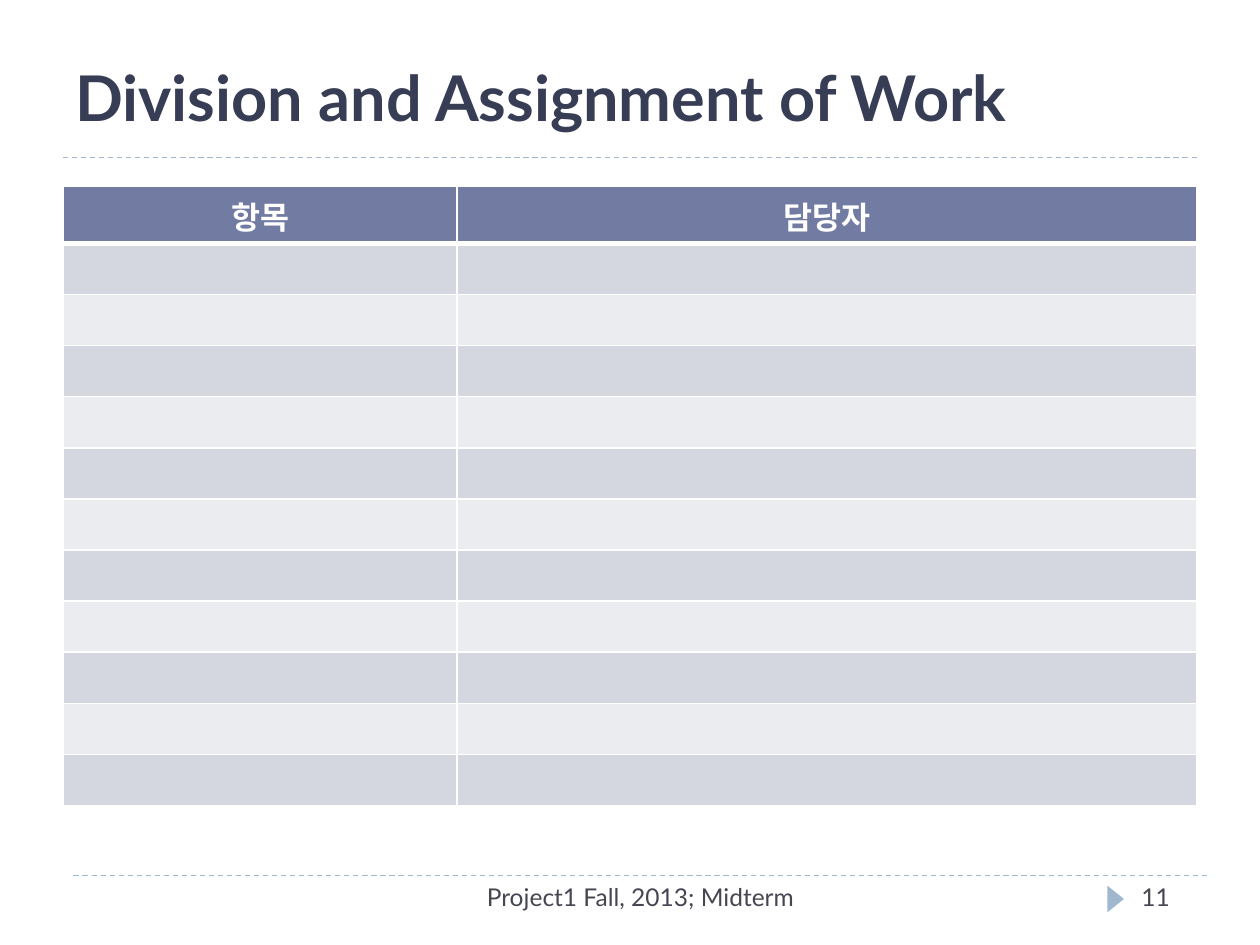
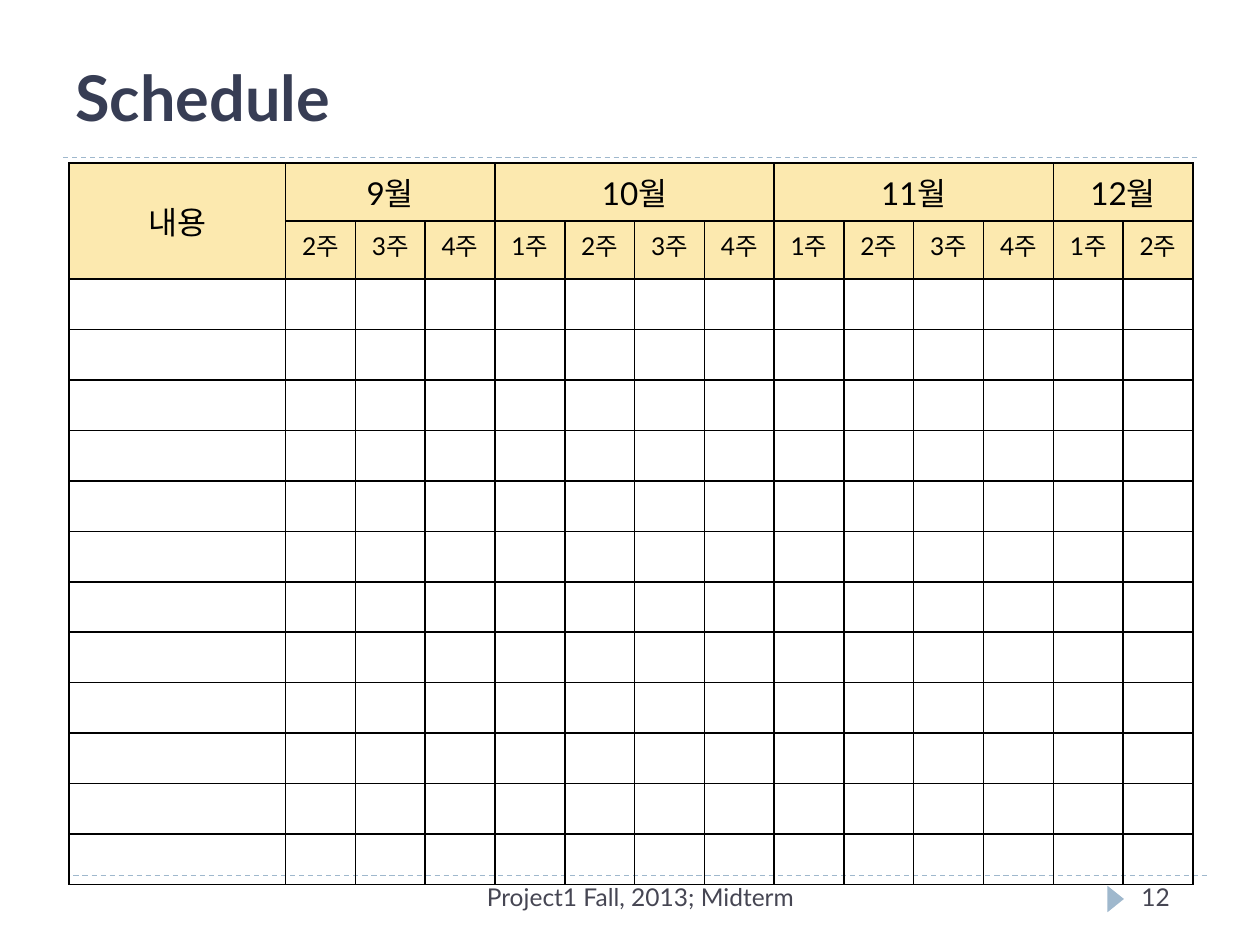
from dataclasses import dataclass
from typing import Any

from lxml.etree import SubElement
from pptx import Presentation
from pptx.dml.color import RGBColor
from pptx.enum.dml import MSO_LINE
from pptx.enum.shapes import MSO_CONNECTOR, MSO_SHAPE
from pptx.enum.text import MSO_ANCHOR, PP_ALIGN
from pptx.oxml.ns import qn
from pptx.slide import Slide
from pptx.table import Table, _Cell
from pptx.util import Pt

FONT = "Lato"
SKY, NAVY, GREY = "9FB8CD", "373D54", "464653"
WHITE, BLACK = "FFFFFF", "000000"
SLATE, BANDS, CREAM = "727CA3", ("D5D7E0", "EBECF0"), "FCE9AF"
LEFT, CENTER = PP_ALIGN.LEFT, PP_ALIGN.CENTER
TOP, MIDDLE, BOTTOM = MSO_ANCHOR.TOP, MSO_ANCHOR.MIDDLE, MSO_ANCHOR.BOTTOM


@dataclass(frozen=True)
class Style:
    """Look of a piece of text."""
    size: float
    color: str
    bold: bool = False
    align: PP_ALIGN = LEFT
    anchor: MSO_ANCHOR = TOP


@dataclass(frozen=True)
class Box:
    """Place and extent in points."""
    left: float
    top: float
    width: float
    height: float

    def args(self) -> list[Pt]:
        """Give the four lengths for a shape call."""
        return [Pt(n) for n in (self.left, self.top, self.width, self.height)]


@dataclass(frozen=True)
class Month:
    """Month heading with its range of weeks."""
    name: str
    first: int
    last: int


TITLE = Style(36, NAVY, True, anchor=BOTTOM)
FOOT = Style(14, GREY, align=CENTER)
PAGE = Style(14, GREY)
HEAD = Style(18, WHITE, True, CENTER, MIDDLE)
TOPIC = Style(18, BLACK, align=CENTER, anchor=MIDDLE)
MONTH = Style(18, BLACK, align=CENTER)
WEEK = Style(14, BLACK, align=CENTER)
RULES = ((42, 500.4), (36, 90))
MONTHS = (Month("9월", 2, 4), Month("10월", 1, 4),
          Month("11월", 1, 4), Month("12월", 1, 2))


def color(code: str) -> RGBColor:
    """Turn a hex string into a colour."""
    return RGBColor.from_string(code)


def assign(item: Any, values: dict[str, Any]) -> None:
    """Set each named attribute of an item."""
    for name, value in values.items():
        setattr(item, name, value)


def write(frame: Any, text: str, style: Style) -> None:
    """Put one styled paragraph in a text frame."""
    para = frame.paragraphs[0]
    para.alignment = style.align
    run = para.add_run()
    run.text = text
    assign(run.font, {"name": FONT, "size": Pt(style.size), "bold": style.bold})
    run.font.color.rgb = color(style.color)


def label(slide: Slide, box: Box, text: str, style: Style) -> None:
    """Add a wrapped text box."""
    frame = slide.shapes.add_textbox(*box.args()).text_frame
    assign(frame, {"word_wrap": True, "vertical_anchor": style.anchor})
    write(frame, text, style)


def rule(slide: Slide, left: float, top: float) -> None:
    """Draw a dashed rule across the slide."""
    ends = [Pt(n) for n in (left, top, left + 648, top)]
    line = slide.shapes.add_connector(MSO_CONNECTOR.STRAIGHT, *ends)
    assign(line.line, {"width": Pt(0.75), "dash_style": MSO_LINE.DASH})
    line.line.color.rgb = color(SKY)
    SubElement(line._element.spPr, qn("a:effectLst"))


def base(deck: Any, title: str, page: int) -> Slide:
    """Add a slide with the shared title, rules and footer."""
    slide = deck.slides.add_slide(deck.slide_layouts[6])
    for left, top in RULES:
        rule(slide, left, top)
    mark = slide.shapes.add_shape(MSO_SHAPE.ISOSCELES_TRIANGLE,
                                  *Box(630, 509, 15.1, 9.4).args())
    mark.rotation = 90
    mark.shadow.inherit = False
    mark.fill.solid()
    mark.fill.fore_color.rgb = color(SKY)
    mark.line.fill.background()
    label(slide, Box(36, 28.8, 648, 51.1), title, TITLE)
    label(slide, Box(228.2, 500.4, 275.8, 28.8), "Project1 Fall, 2013; Midterm", FOOT)
    label(slide, Box(645.1, 500.4, 54, 28.8), str(page), PAGE)
    return slide


def border(cell: _Cell, code: str, sides: dict[str, float]) -> None:
    """Draw the borders of a cell, side by side."""
    props = cell._tc.get_or_add_tcPr()
    for side, width in sides.items():
        line = SubElement(props, qn(f"a:ln{side}"), w=str(Pt(width)))
        fill = SubElement(line, qn("a:solidFill"))
        SubElement(fill, qn("a:srgbClr"), val=code)


def paint(cell: _Cell, code: str | None) -> None:
    """Fill a cell, or leave it clear."""
    if code is None:
        cell.fill.background()
    else:
        cell.fill.solid()
        cell.fill.fore_color.rgb = color(code)


def fill(cell: _Cell, text: str, style: Style) -> None:
    """Write a heading in a cell."""
    assign(cell, {"vertical_anchor": style.anchor,
                  "margin_top": Pt(3.6), "margin_bottom": Pt(3.6)})
    write(cell.text_frame, text, style)


def grid(slide: Slide, left: float, top: float,
         cols: list[float], rows: list[float]) -> Table:
    """Add a plain table with given column and row sizes."""
    box = Box(left, top, sum(cols), sum(rows))
    table = slide.shapes.add_table(len(rows), len(cols), *box.args()).table
    assign(table, {"first_row": False, "horz_banding": False})
    for col, width in zip(table.columns, cols):
        col.width = Pt(width)
    for row, height in zip(table.rows, rows):
        row.height = Pt(height)
    for cell in table.iter_cells():
        assign(cell, {"margin_top": 0, "margin_bottom": 0})
    return table


def work(deck: Any) -> None:
    """Build the slide on the division of work."""
    slide = base(deck, "Division and Assignment of Work", 11)
    table = grid(slide, 36, 106.6, [225.2, 422.8], [32.5] + [29.2] * 11)
    for num, row in enumerate(table.rows):
        for cell in row.cells:
            border(cell, WHITE, {"L": 1, "R": 1, "T": 3 if num == 1 else 1,
                                 "B": 1 if num else 3})
            paint(cell, BANDS[(num - 1) % 2] if num else SLATE)
    for col, text in enumerate(("항목", "담당자")):
        fill(table.cell(0, col), text, HEAD)


def plan(deck: Any) -> None:
    """Build the slide with the weekly schedule."""
    slide = base(deck, "Schedule", 12)
    table = grid(slide, 39.4, 93.1, [123.8] + [39.9] * 13, [33.2] * 2 + [28.85] * 12)
    for num, row in enumerate(table.rows):
        for cell in row.cells:
            border(cell, BLACK, dict.fromkeys("LRTB", 1))
            paint(cell, CREAM if num < 2 else None)
    table.cell(0, 0).merge(table.cell(1, 0))
    fill(table.cell(0, 0), "내용", TOPIC)
    col = 1
    for month in MONTHS:
        last = col + month.last - month.first
        table.cell(0, col).merge(table.cell(0, last))
        fill(table.cell(0, col), month.name, MONTH)
        for week in range(month.first, month.last + 1):
            fill(table.cell(1, col), f"{week}주", WEEK)
            col += 1


def main() -> None:
    """Build and save the deck."""
    deck = Presentation()
    assign(deck, {"slide_width": Pt(720), "slide_height": Pt(540)})
    work(deck)
    plan(deck)
    deck.save("out.pptx")


main()
